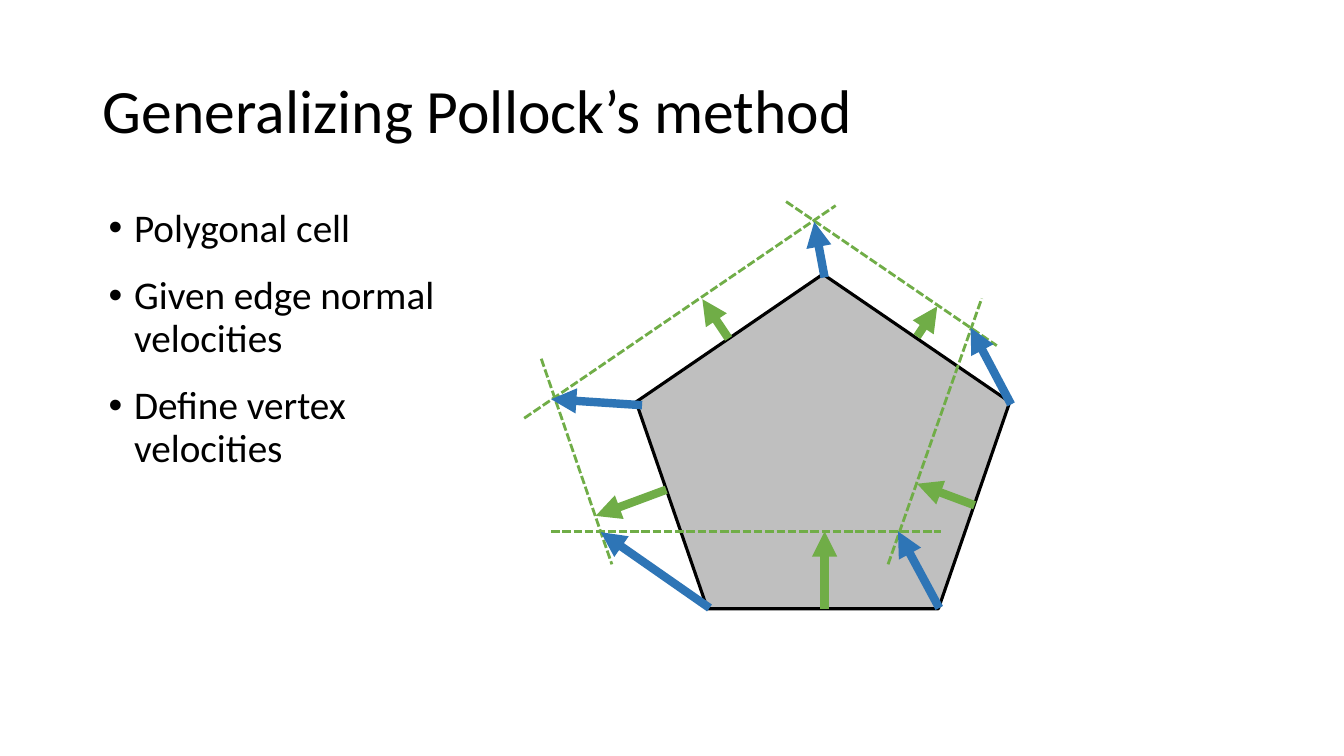
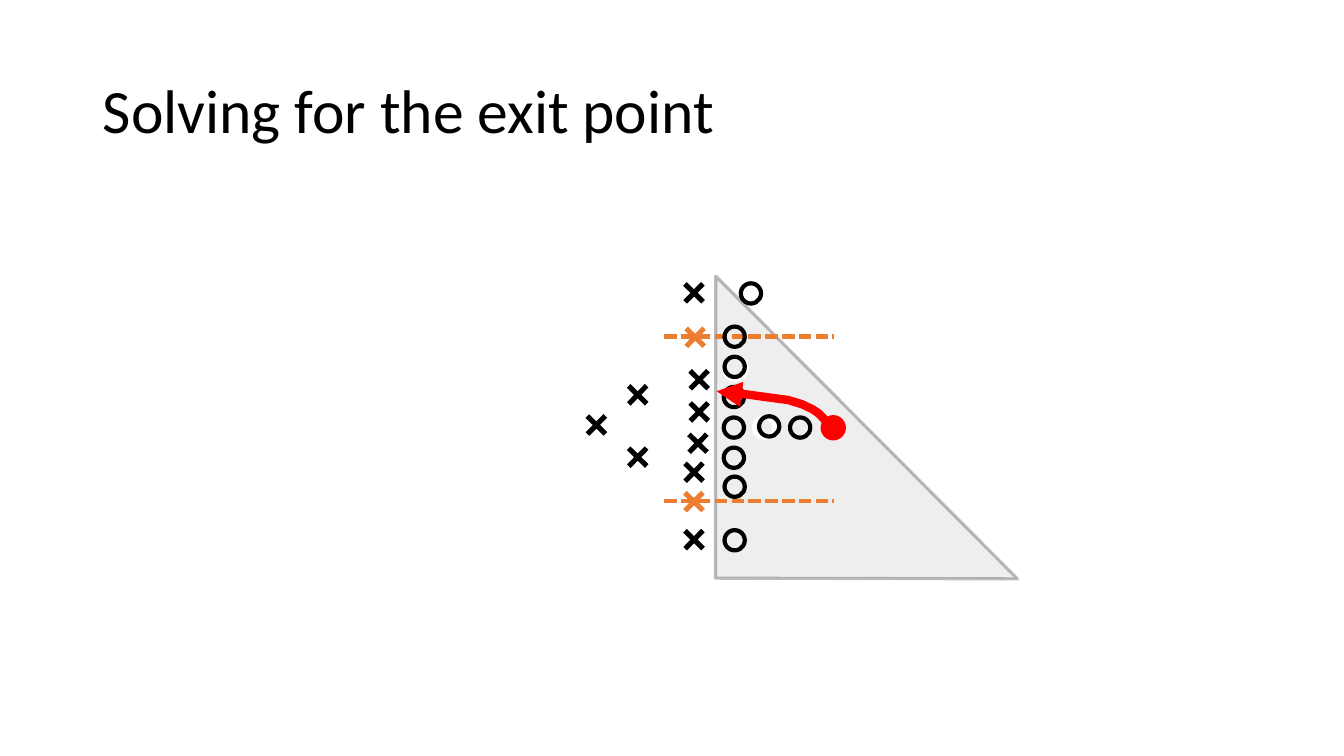
"""Build two slides on tracing streamlines through polygonal cells."""
from pptx import Presentation
from pptx.dml.color import RGBColor
from pptx.enum.dml import MSO_LINE
from pptx.enum.shapes import MSO_CONNECTOR, MSO_SHAPE
from pptx.enum.text import MSO_ANCHOR, MSO_AUTO_SIZE, PP_ALIGN
from pptx.oxml.ns import qn
from pptx.util import Cm, Pt
from lxml.etree import SubElement

FONT = "Calibri"
COLOURS = {name: RGBColor.from_string(value) for name, value in {
    "black": "000000", "white": "FFFFFF", "grey": "BFBFBF", "green": "70AD47",
    "blue": "2E75B6", "red": "FF0000", "orange": "ED7D31"}.items()}


def draw_line(slide, ends, colour, weight, dashed=False, arrow=False):
    """Draw a straight line between two points, given as x1, y1, x2, y2."""
    line = slide.shapes.add_connector(MSO_CONNECTOR.STRAIGHT, *map(Cm, ends))
    line.line.color.rgb = COLOURS[colour]
    line.line.width = Pt(weight)
    if dashed:
        line.line.dash_style = MSO_LINE.SQUARE_DOT
    properties = line.element.spPr
    if arrow:
        SubElement(properties.find(qn("a:ln")), qn("a:tailEnd"), type="triangle")
    SubElement(properties, qn("a:effectLst"))


def draw_shape(slide, kind, box, fill=None, outline=None, weight=3):
    """Draw a preset shape in the box left, top, width, height."""
    shape = slide.shapes.add_shape(kind, *map(Cm, box))
    shape.shadow.inherit = False
    if fill:
        shape.fill.solid()
        shape.fill.fore_color.rgb = COLOURS[fill]
    else:
        shape.fill.background()
    if outline:
        shape.line.color.rgb = COLOURS[outline]
        shape.line.width = Pt(weight)
    else:
        shape.line.fill.background()
    return shape


deck = Presentation()
deck.slide_width, deck.slide_height = Cm(33.87), Cm(19.05)
title_only = deck.slide_layouts[5]

for heading in ("Generalizing Pollock’s method", "Solving for the exit point"):
    title = deck.slides.add_slide(title_only).shapes.title
    title.left, title.top, title.width, title.height = map(Cm, (2.34, 1.02, 29.21, 3.68))
    title.text_frame.auto_size = MSO_AUTO_SIZE.NONE
    title.text_frame.vertical_anchor = MSO_ANCHOR.MIDDLE
    paragraph = title.text_frame.paragraphs[0]
    paragraph.alignment = PP_ALIGN.LEFT
    paragraph.line_spacing = 0.9
    run = paragraph.add_run()
    run.text = heading
    run.font.name, run.font.size = FONT, Pt(44)
    run.font.color.rgb = COLOURS["black"]

method, exit_point = deck.slides

steps = method.shapes.add_textbox(Cm(2.49), Cm(5.13), Cm(10.29), Cm(12.04)).text_frame
steps.word_wrap = True
for index, step in enumerate(("Polygonal cell", "Given edge normal velocities",
                              "Define vertex velocities")):
    paragraph = steps.add_paragraph() if index else steps.paragraphs[0]
    paragraph.line_spacing = 0.9
    if index:
        paragraph.space_before = Pt(18)
    bullet = paragraph._p.get_or_add_pPr()
    bullet.set("marL", str(Cm(0.64)))
    bullet.set("indent", str(-Cm(0.64)))
    SubElement(bullet, qn("a:buFont"), typeface="Arial")
    SubElement(bullet, qn("a:buChar"), char="•")
    run = paragraph.add_run()
    run.text = step
    run.font.name, run.font.size = FONT, Pt(28)
    run.font.color.rgb = COLOURS["black"]

draw_shape(method, MSO_SHAPE.REGULAR_PENTAGON, (16.03, 6.91, 9.42, 8.43),
           "grey", "black", 2.25)

edge_normals = [
    (16.79, 12.34, 15.01, 13), (20.78, 15.34, 20.78, 13.39),
    (24.56, 12.73, 23.11, 12.19), (23.11, 8.48, 23.62, 7.72),
    (18.36, 8.53, 17.7, 7.54)]
offset_edges = [
    (13.21, 10.54, 21.06, 5.18), (19.81, 5.08, 25.12, 8.71),
    (22.38, 14.22, 24.74, 7.52), (13.64, 9.04, 15.42, 14.22),
    (13.89, 13.39, 23.72, 13.39)]
vertex_velocities = [
    (16.18, 10.21, 13.89, 10.06), (20.78, 6.99, 20.52, 5.59),
    (25.48, 10.19, 24.46, 8.26), (17.88, 15.32, 15.14, 13.41),
    (23.67, 15.32, 22.63, 13.39)]
for ends in edge_normals:
    draw_line(method, ends, "green", 6, arrow=True)
for ends in offset_edges:
    draw_line(method, ends, "green", 2, dashed=True)
for ends in vertex_velocities:
    draw_line(method, ends, "blue", 6, arrow=True)

cell = draw_shape(exit_point, MSO_SHAPE.ISOSCELES_TRIANGLE, (14.55, 9.98, 10.77, 5.38),
                  "grey", "black", 2.25)
cell.rotation = 225.1
cell.adjustments[0] = 0.5
for colour in cell.element.spPr.iter(qn("a:srgbClr")):
    SubElement(colour, qn("a:alpha"), val="25000")

draw_shape(exit_point, MSO_SHAPE.OVAL, (20.68, 10.46, 0.64, 0.64), "red")

RING = 0.51
rings_behind = [
    (18.24, 10.52, RING, "black"), (19.91, 10.52, RING, "black"),
    (19, 10.52, RING, "white"), (18.24, 11.28, RING, "black"),
    (18.26, 12.01, RING, "black"), (18.24, 9.75, RING, "black"),
    (18.24, 8.99, 0.58, "white"), (18.24, 8.23, RING, "white")]
for left, top, size, colour in rings_behind:
    draw_shape(exit_point, MSO_SHAPE.OVAL, (left, top, size, size), outline=colour)

start, *bends = [(Cm(x), Cm(y)) for x, y in (
    (21.03, 10.9), (20.9, 10.71), (20.75, 10.54), (20.62, 10.41), (20.47, 10.31),
    (20.22, 10.19), (19.86, 10.08), (19.33, 10.01), (18.75, 9.93), (18.44, 9.91))]
builder = exit_point.shapes.build_freeform(*start)
builder.add_line_segments(bends, close=False)
streamline = builder.convert_to_shape()
streamline.shadow.inherit = False
streamline.fill.background()
streamline.line.color.rgb = COLOURS["red"]
streamline.line.width = Pt(6)
draw_line(exit_point, (18.62, 9.93, 18.06, 9.86), "red", 6, arrow=True)

for level in (8.48, 12.62):
    draw_line(exit_point, (16.74, level, 21.03, level), "orange", 3, dashed=True)

CROSS = 0.64
crosses = {
    "orange": [(17.2, 8.18), (17.17, 12.32)],
    "black": [(17.17, 7.06), (17.3, 9.25), (17.3, 10.06), (17.27, 10.85),
              (17.17, 11.58), (17.17, 13.28), (15.75, 9.63), (15.75, 11.2),
              (14.71, 10.39)]}
for colour, corners in crosses.items():
    for left, top in corners:
        cross = draw_shape(exit_point, MSO_SHAPE.CROSS, (left, top, CROSS, CROSS), colour)
        cross.rotation = 44.4
        cross.adjustments[0] = 0.4

rings_in_front = [(18.67, 7.14), (18.26, 8.23), (18.26, 8.99), (19.13, 10.49),
                  (18.26, 13.36)]
for left, top in rings_in_front:
    draw_shape(exit_point, MSO_SHAPE.OVAL, (left, top, RING, RING), outline="black")

deck.save("out.pptx")
